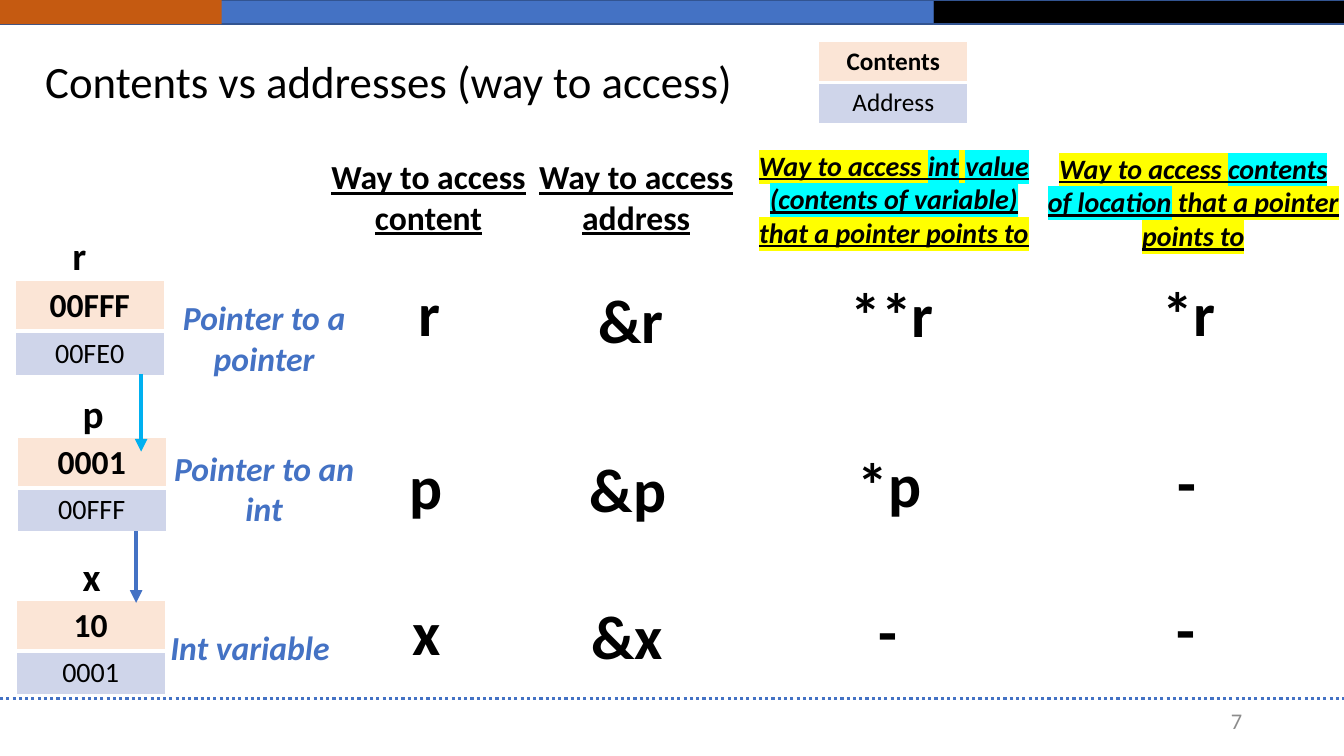
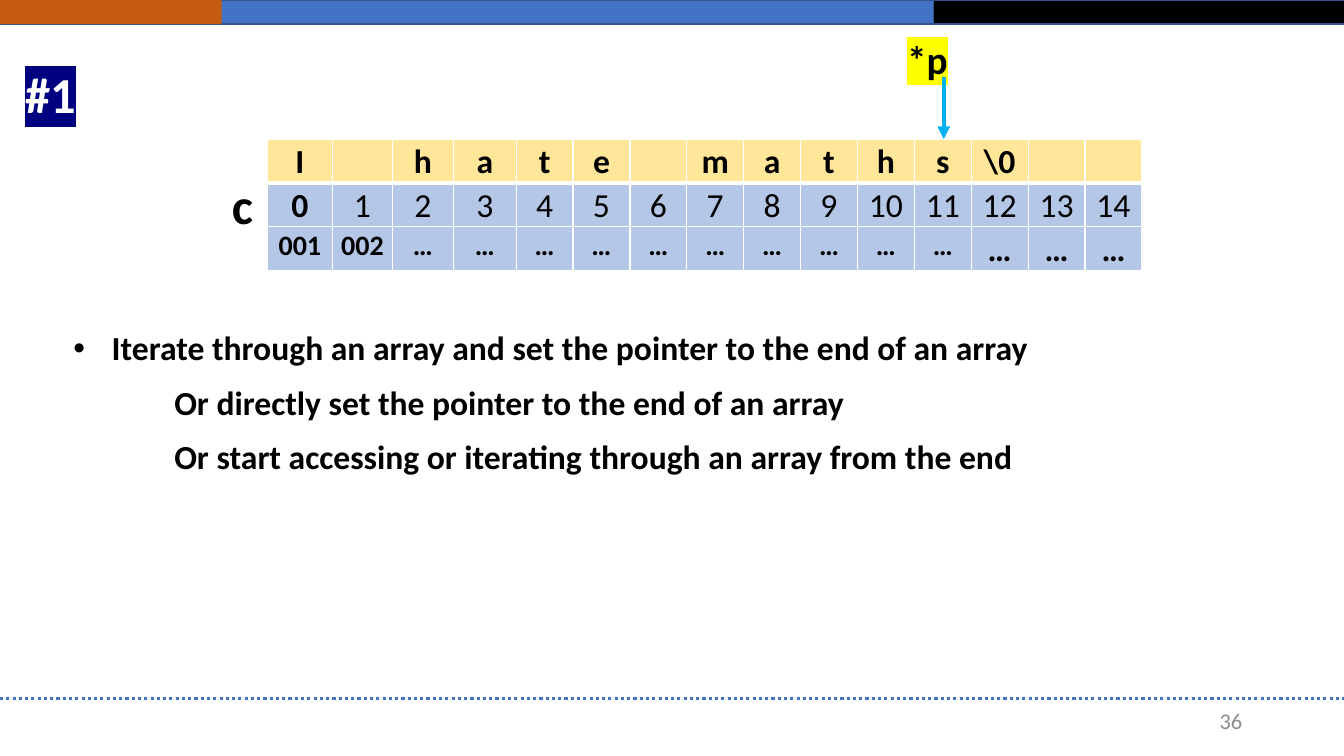
from lxml.etree import SubElement
from pptx import Presentation
from pptx.dml.color import RGBColor
from pptx.enum.dml import MSO_LINE
from pptx.enum.shapes import MSO_CONNECTOR, MSO_SHAPE
from pptx.enum.text import MSO_ANCHOR, MSO_AUTO_SIZE, PP_ALIGN as ALIGN
from pptx.oxml.ns import qn
from pptx.util import Inches, Pt

BLACK, WHITE, BLUE, SKY = "000000", "FFFFFF", "4472C4", "00B0F0"
ORANGE, EDGE, GRAY, NAVY = "C55A11", "325491", "8C8C8C", "000080"
PEACH, LAVENDER, GOLD, PALE_BLUE = "FBE5D6", "CFD5EA", "FFE699", "B4C7E7"
YELLOW, CYAN = "FFFF00", "00FFFF"
WIDTH, HEIGHT = 13.33, 7.5

NAME = {"size": Pt(28), "bold": True}
HEADING = {"size": Pt(24), "bold": True, "underline": True}
MARKED_HEADING = {"size": Pt(20), "bold": True, "italic": True, "underline": True}
KIND = {"size": Pt(24), "bold": True, "italic": True}
EXPRESSION = {"size": Pt(44), "bold": True}
BIG = {"size": Pt(36), "bold": True}
STRONG = {"size": Pt(24), "bold": True}
PLAIN = {"size": Pt(24), "bold": False}
SMALL_STRONG = {"size": Pt(20), "bold": True}


def rgb(value):
    return RGBColor.from_string(value)


def apply(target, values):
    for key, value in values.items():
        setattr(target, key, value)


class Deck:
    """Holds the presentation, its shared style and the current page."""

    font = "Calibri"

    def __init__(self):
        self.deck = Presentation()
        self.deck.slide_width = Inches(WIDTH)
        self.deck.slide_height = Inches(HEIGHT)

    def new_page(self, number):
        self.page = self.deck.slides.add_slide(self.deck.slide_layouts[6])
        self.band(0, 9.26, BLUE, EDGE)
        self.band(9.26, 4.08, BLACK, EDGE)
        self.band(0, 2.2, ORANGE)
        self.line((0, 6.93), (WIDTH, 6.93), BLUE, 2.25, dash=MSO_LINE.ROUND_DOT)
        self.text(9.42, 6.95, 3, 0.4, str(number), {"size": Pt(16)}, GRAY,
                  align=ALIGN.RIGHT, middle=True)

    def band(self, left, width, fill, edge=None):
        band = self.page.shapes.add_shape(
            MSO_SHAPE.RECTANGLE, Inches(left), 0, Inches(width), Inches(0.24))
        band.shadow.inherit = False
        band.fill.solid()
        band.fill.fore_color.rgb = rgb(fill)
        if edge:
            band.line.color.rgb = rgb(edge)
            band.line.width = Pt(1)
        else:
            band.line.fill.background()

    def line(self, start, end, color, width=3, dash=None, arrow=False):
        line = self.page.shapes.add_connector(
            MSO_CONNECTOR.STRAIGHT, *(Inches(value) for value in (*start, *end)))
        line.line.color.rgb = rgb(color)
        line.line.width = Pt(width)
        if dash:
            line.line.dash_style = dash
        properties = line._element.spPr
        if arrow:
            SubElement(properties.find(qn("a:ln")), qn("a:tailEnd"), type="triangle")
        SubElement(properties, qn("a:effectLst"))

    def span(self, para, text, style, color=BLACK, highlight=None):
        span = para.add_run()
        span.text = text
        span.font.color.rgb = rgb(color)
        if highlight:
            mark = SubElement(span._r.get_or_add_rPr(), qn("a:highlight"))
            SubElement(mark, qn("a:srgbClr"), val=highlight)
        apply(span.font, {"name": self.font, **style})

    def text(self, left, top, width, height, spans, style, color=BLACK,
             align=ALIGN.CENTER, middle=False, spacing=None):
        """Add one paragraph; spans is a string or (text, highlight) pairs."""
        frame = self.frame(left, top, width, height, middle)
        para = frame.paragraphs[0]
        apply(para, {"alignment": align, "line_spacing": spacing})
        for text, highlight in [(spans, None)] if isinstance(spans, str) else spans:
            self.span(para, text, style, color, highlight)

    def frame(self, left, top, width, height, middle=False):
        box = self.page.shapes.add_textbox(
            Inches(left), Inches(top), Inches(width), Inches(height))
        apply(box.text_frame, {
            "word_wrap": True,
            "auto_size": MSO_AUTO_SIZE.NONE if middle else MSO_AUTO_SIZE.SHAPE_TO_FIT_TEXT,
            "vertical_anchor": MSO_ANCHOR.MIDDLE if middle else MSO_ANCHOR.TOP})
        return box.text_frame

    def options(self, left, top, width, height, lines):
        """Add a bulleted first line with indented alternatives under it."""
        frame = self.frame(left, top, width, height)
        for index, line in enumerate(lines):
            para = frame.add_paragraph() if index else frame.paragraphs[0]
            layout = para._p.get_or_add_pPr()
            indent, hanging = (1, 0) if index else (0.38, -0.38)
            layout.set("marL", str(Inches(indent)))
            layout.set("indent", str(Inches(hanging)))
            if index:
                SubElement(layout, qn("a:buNone"))
            else:
                SubElement(layout, qn("a:buFont"), typeface="Arial")
                SubElement(layout, qn("a:buChar"), char="•")
            apply(para, {"line_spacing": 1.07, "space_after": Pt(8)})
            self.span(para, line, STRONG)

    def table(self, left, top, widths, row_height, rows, margins=None, spacing=None):
        """Add a table from (fill, [(text, style), ...]) rows."""
        table = self.page.shapes.add_table(
            len(rows), len(widths), Inches(left), Inches(top),
            Inches(sum(widths)), Inches(row_height * len(rows))).table
        table.horz_banding = False
        for column, width in zip(table.columns, widths):
            column.width = Inches(width)
        for row_index, (fill, entries) in enumerate(rows):
            table.rows[row_index].height = Inches(row_height)
            for column_index, (text, style) in enumerate(entries):
                cell = table.cell(row_index, column_index)
                apply(cell, margins or {})
                self.borders(cell, row_index)
                cell.fill.solid()
                cell.fill.fore_color.rgb = rgb(fill)
                para = cell.text_frame.paragraphs[0]
                apply(para, {"alignment": ALIGN.CENTER, "line_spacing": spacing})
                if text:
                    self.span(para, text, style)

    def borders(self, cell, row_index):
        """Draw white borders, thick between the first two rows."""
        thick = {0: "lnB", 1: "lnT"}.get(row_index)
        for side in ("lnL", "lnR", "lnT", "lnB"):
            border = SubElement(cell._tc.get_or_add_tcPr(), qn(f"a:{side}"),
                                w=str(Pt(3 if side == thick else 1)))
            SubElement(SubElement(border, qn("a:solidFill")), qn("a:srgbClr"), val=WHITE)

    def memory(self, left, top, contents, address, sizes=(24, 20)):
        """Add a variable's contents stacked on its address."""
        large, small = sizes
        self.table(left, top, [1.48], 0.41, [
            (PEACH, [(contents, {"size": Pt(large), "bold": True})]),
            (LAVENDER, [(address, {"size": Pt(small), "bold": False})])])


def access_page(deck):
    deck.new_page(7)
    deck.text(0.35, 0.41, 11.5, 0.84, "Contents vs addresses (way to access)",
              {"size": Pt(32)}, align=ALIGN.LEFT, middle=True, spacing=0.9)
    deck.memory(8.12, 0.41, "Contents", "Address", (18, 18))

    for left, top, contents, address, name, name_left in [
            (0.15, 2.78, "00FFF", "00FE0", "r", 0.62),
            (0.17, 4.34, "0001", "00FFF", "p", 0.72),
            (0.16, 5.96, "10", "0001", "x", 0.72)]:
        deck.memory(left, top, contents, address)
        deck.text(name_left, top - 0.53, 0.55, 0.57, name, NAME, align=ALIGN.JUSTIFY)
    deck.line((1.35, 5.27), (1.35, 5.98), BLUE, arrow=True)
    deck.line((1.4, 3.71), (1.4, 4.48), SKY, arrow=True)

    for left, top, width, height, kind in [
            (1.35, 2.9, 2.54, 0.91, "Pointer to a pointer"),
            (1.47, 4.39, 2.3, 0.91, "Pointer to an int"),
            (1.33, 6.17, 2.3, 0.5, "Int variable")]:
        deck.text(left, top, width, height, kind, KIND, BLUE)

    deck.text(3.09, 1.5, 2.32, 0.91, "Way to access content", HEADING)
    deck.text(5.23, 1.5, 2.16, 0.91, "Way to access address", HEADING)
    deck.text(7.39, 1.42, 2.95, 1.11, [
        ("Way to access ", YELLOW), ("int", CYAN), (" ", YELLOW),
        ("value (contents of variable)", CYAN),
        (" that a pointer points to", YELLOW)], MARKED_HEADING)
    deck.text(10.28, 1.45, 3.11, 1.11, [
        ("Way to access ", YELLOW), ("contents of location", CYAN),
        (" that a pointer points to", YELLOW)], MARKED_HEADING)

    for column in [
            [("r", 3.53, 2.68), ("p", 3.5, 4.39), ("x", 3.5, 5.84)],
            [("&r", 5.53, 2.75), ("&p", 5.5, 4.42), ("&x", 5.49, 5.88)],
            [("**r", 8.12, 2.69), ("*p", 8.09, 4.37), ("-", 8.08, 5.83)],
            [("*r", 11.06, 2.68), ("-", 11.04, 4.36), ("-", 11.03, 5.81)]]:
        for expression, left, top in column:
            deck.text(left, top, 1.46, 0.84, expression, EXPRESSION)


def array_page(deck):
    deck.new_page(36)
    letters = [*"I hate maths", "\\0", "", ""]
    count = len(letters)
    first_widths = [0.65, 0.59, 0.61, 0.62]
    rest = count - len(first_widths)
    widths = first_widths + [(8.68 - sum(first_widths)) / rest] * rest
    addresses = ["001", "002"] + ["…"] * (count - 2)
    deck.table(2.65, 1.38, widths, 0.36, [
        (GOLD, [(letter.strip(), STRONG) for letter in letters]),
        (PALE_BLUE, [(str(index), PLAIN if index else STRONG) for index in range(count)]),
        (PALE_BLUE, [(address, SMALL_STRONG if index < count - 3 else STRONG)
                     for index, address in enumerate(addresses)])],
        {"margin_left": Inches(0.07), "margin_right": Inches(0.07),
         "margin_top": 0, "margin_bottom": 0}, 1.07)
    deck.text(1.99, 1.38, 0.83, 0.92, "c", BIG, spacing=1.5)
    deck.options(0.63, 3.17, 12.38, 1.6, [
        "Iterate through an array and set the pointer to the end of an array",
        "Or directly set the pointer to the end of an array",
        "Or start accessing or iterating through an array from the end"])
    deck.text(8.9, 0.3, 0.96, 0.57, [("*p", YELLOW)], NAME, align=ALIGN.JUSTIFY)
    deck.line((9.36, 0.76), (9.36, 1.38), SKY, arrow=True)
    deck.text(0.15, 0.58, 0.96, 0.71, [("#1", NAVY)], BIG, WHITE, ALIGN.JUSTIFY)


def main():
    deck = Deck()
    access_page(deck)
    array_page(deck)
    deck.deck.save("out.pptx")


if __name__ == "__main__":
    main()
